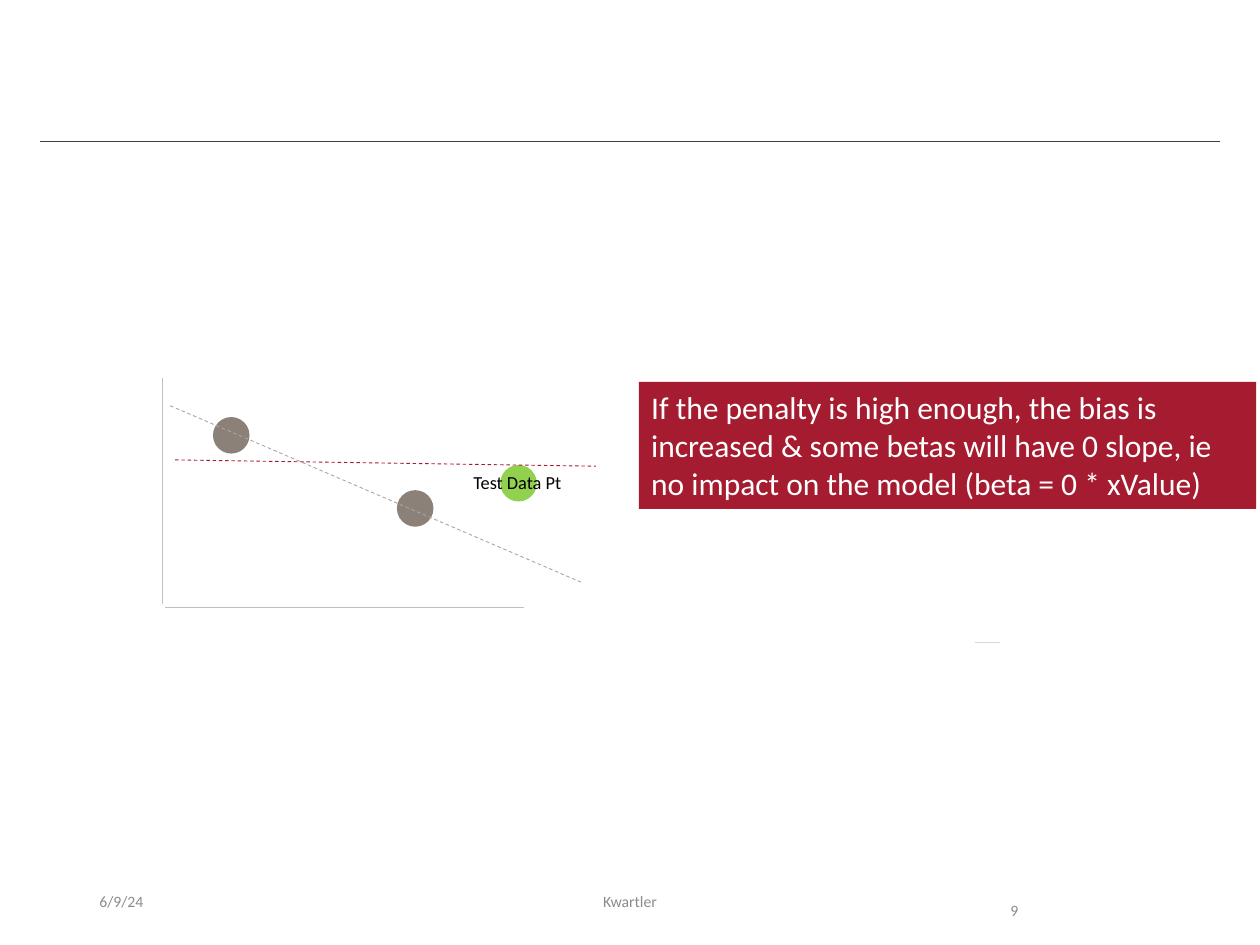
from pptx import Presentation
from pptx.dml.color import RGBColor
from pptx.enum.dml import MSO_LINE
from pptx.enum.shapes import MSO_CONNECTOR, MSO_SHAPE
from pptx.enum.text import MSO_ANCHOR, PP_ALIGN
from pptx.oxml.ns import qn
from pptx.util import Inches, Pt
from lxml import etree

LEFT, CENTER = PP_ALIGN.LEFT, PP_ALIGN.CENTER
TOP, MIDDLE = MSO_ANCHOR.TOP, MSO_ANCHOR.MIDDLE
DASH = MSO_LINE.DASH
OVAL, RECT = MSO_SHAPE.OVAL, MSO_SHAPE.RECTANGLE
STRAIGHT = MSO_CONNECTOR.STRAIGHT

FONT = "Calibri"
COLORS = {
    "red": "A51C30", "rule": "404040", "axis": "BFBFBF", "fit": "A6A6A6",
    "train": "8C8179", "test": "92D050", "foot": "8C8C8C", "tick": "D9D9D9",
    "black": "000000", "white": "FFFFFF",
}


def rgb(name):
    return RGBColor.from_string(COLORS[name])


def write(shape, text, size=9, color="foot", align=LEFT, anchor=TOP,
          wrap=True, spacing=None):
    frame = shape.text_frame
    frame.word_wrap = wrap
    frame.vertical_anchor = anchor
    para = frame.paragraphs[0]
    para.alignment = align
    if spacing:
        para.line_spacing = spacing
    run = para.add_run()
    run.text = text
    run.font.name = FONT
    run.font.size = Pt(size)
    run.font.color.rgb = rgb(color)


def add_text(slide, box, text, **form):
    shape = slide.shapes.add_textbox(*map(Inches, box))
    write(shape, text, **form)


def add_line(slide, x1, y1, x2, y2, color, dash=None):
    line = slide.shapes.add_connector(STRAIGHT, *map(Inches, (x1, y1, x2, y2)))
    line.line.color.rgb = rgb(color)
    line.line.width = Pt(0.5)
    if dash:
        line.line.dash_style = dash
    etree.SubElement(line._element.spPr, qn("a:effectLst"))


def add_shape(slide, kind, box, color):
    shape = slide.shapes.add_shape(kind, *map(Inches, box))
    shape.shadow.inherit = False
    shape.fill.solid()
    shape.fill.fore_color.rgb = rgb(color)
    shape.line.fill.background()
    return shape


def add_footer(slide, left, top, height):
    add_text(slide, (left, top, 2.25, height), "6/9/24", anchor=MIDDLE)
    add_text(slide, (left + 2.62, top, 3.38, height), "Kwartler",
             align=CENTER, anchor=MIDDLE)
    add_text(slide, (left + 7.23, top, 0.94, height), "9", spacing=2.0)


def add_plot(slide, left, top):
    dot = 0.29
    # Axes
    add_line(slide, left, top, left, top + 1.79, "axis")
    add_line(slide, left + 0.02, top + 1.82, left + 2.87, top + 1.82, "axis")
    # Training points and their fit
    for x, y in ((0.4, 0.31), (1.86, 0.89)):
        add_shape(slide, OVAL, (left + x, top + y, dot, dot), "train")
    add_line(slide, left + 0.06, top + 0.22, left + 3.32, top + 1.62,
             "fit", DASH)
    # Test point and penalised fit
    add_shape(slide, OVAL, (left + 2.68, top + 0.69, dot, dot), "test")
    add_text(slide, (left + 2.37, top + 0.69, 0.93, 0.28), "Test Data Pt",
             size=10.5, color="black", wrap=False)
    add_line(slide, left + 0.1, top + 0.65, left + 3.44, top + 0.7,
             "red", DASH)


def add_note(slide, *box):
    note = add_shape(slide, RECT, box, "red")
    write(note, "If the penalty is high enough, the bias is increased & some "
          "betas will have 0 slope, ie no impact on the model "
          "(beta = 0 * xValue)", size=18, color="white")


def main():
    deck = Presentation()
    deck.slide_width, deck.slide_height = Inches(10), Inches(7.5)
    slide = deck.slides.add_slide(deck.slide_layouts[6])
    # Header rule
    add_line(slide, 0.32, 1.12, 9.68, 1.12, "rule")
    add_footer(slide, 0.69, 6.95, 0.4)
    add_plot(slide, 1.29, 3)
    add_note(slide, 5.07, 3.03, 4.9, 1.01)
    # Short tick below the note
    add_line(slide, 7.74, 5.1, 7.94, 5.1, "tick")
    deck.save("out.pptx")


if __name__ == "__main__":
    main()
